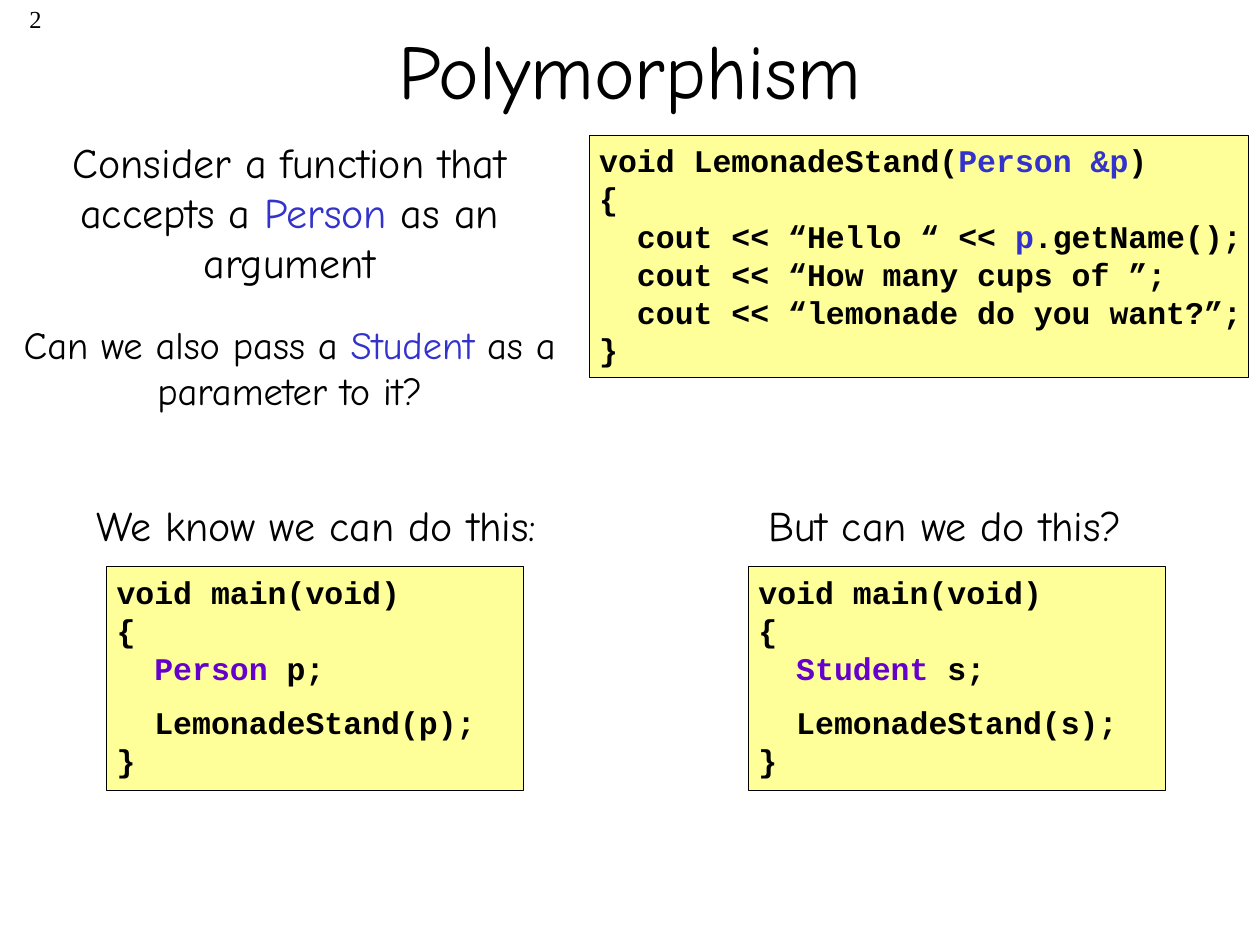
from dataclasses import dataclass

from pptx import Presentation, util as u
from pptx.dml.color import RGBColor
from pptx.enum import shapes, text


@dataclass(frozen=True)
class Theme:
    ink: str = "000000"
    blue: str = "3333CC"
    purple: str = "6600CC"
    panel: str = "FFFF99"
    prose: str = "Comic Neue"
    code: str = "Courier New"
    number: str = "Times New Roman"
    title_size: float = 44
    lead_size: float = 24
    question_size: float = 22
    code_size: float = 18
    number_size: float = 14
    code_pitch: float = 21.6
    code_indent: float = 21.6
    code_gap: float = 9.6
    outline: float = 0.25


THEME = Theme()
LEFT, CENTER, RIGHT = text.PP_ALIGN.LEFT, text.PP_ALIGN.CENTER, text.PP_ALIGN.RIGHT


def apply(target, values):
    for name, value in values.items():
        setattr(target, name, value)


def write(para, spans, font, size, bold=False):
    """Add (wording, colour) spans; a newline in the wording is a line break."""
    for wording, colour in spans:
        for index, line in enumerate(wording.split("\n")):
            if index:
                para.add_line_break()
            span = para.add_run()
            span.text = line
            apply(span.font, {"name": font, "size": u.Pt(size), "bold": bold})
            span.font.color.rgb = RGBColor.from_string(colour)


def place(shape, box):
    for name, length in zip(("left", "top", "width", "height"), box):
        setattr(shape, name, u.Cm(length))


def add_label(page, box, spans, size, align=LEFT, font=THEME.prose):
    label = page.shapes.add_textbox(*map(u.Cm, box))
    apply(label.text_frame, {"word_wrap": True,
                             "auto_size": text.MSO_AUTO_SIZE.SHAPE_TO_FIT_TEXT})
    para = label.text_frame.paragraphs[0]
    para.alignment = align
    write(para, spans, font, size)


def add_title(page, box, wording):
    title = page.shapes.title
    place(title, box)
    apply(title.text_frame, {"vertical_anchor": text.MSO_ANCHOR.MIDDLE,
                             "auto_size": text.MSO_AUTO_SIZE.NONE})
    para = title.text_frame.paragraphs[0]
    para.alignment = CENTER
    write(para, [(wording, THEME.ink)], THEME.prose, THEME.title_size)


def add_code(page, box, lines):
    """Draw a code panel from (indent level, space before, spans) lines."""
    panel = page.shapes.add_shape(shapes.MSO_SHAPE.RECTANGLE, *map(u.Cm, box))
    panel.shadow.inherit = False
    panel.fill.solid()
    panel.fill.fore_color.rgb = RGBColor.from_string(THEME.panel)
    panel.line.color.rgb = RGBColor.from_string(THEME.ink)
    panel.line.width = u.Pt(THEME.outline)
    frame = panel.text_frame
    apply(frame, {"word_wrap": False, "vertical_anchor": text.MSO_ANCHOR.TOP,
                  "margin_left": u.Cm(0.2), "margin_right": u.Cm(0),
                  "margin_top": u.Cm(0.13), "margin_bottom": u.Cm(0)})
    for index, (level, gap, spans) in enumerate(lines):
        para = frame.add_paragraph() if index else frame.paragraphs[0]
        apply(para, {"alignment": LEFT, "space_before": u.Pt(gap),
                     "line_spacing": u.Pt(THEME.code_pitch)})
        indent = u.Pt(level * THEME.code_indent)
        para._p.get_or_add_pPr().set("marL", str(int(indent)))
        write(para, spans, THEME.code, THEME.code_size, bold=True)


def add_introduction(page, box):
    left, top, width, height = box
    ink, blue = THEME.ink, THEME.blue
    add_label(page, (left, top, width, 3.3),
              [("Consider a function that accepts a ", ink), ("Person", blue),
               (" as an argument", ink)], THEME.lead_size, CENTER)
    add_label(page, (left, top + height - 2.1, width, 2.1),
              [("Can we also pass a ", ink), ("Student", blue),
               (" as a parameter to it?", ink)], THEME.question_size, CENTER)


def add_function(page, box):
    ink, blue = THEME.ink, THEME.blue
    add_code(page, box, [
        (0, 0, [("void LemonadeStand(", ink), ("Person &p", blue), (")", ink)]),
        (0, 0, [("{", ink)]),
        (1, 0, [("cout << “Hello “ << ", ink), ("p", blue),
                (".getName();\ncout << “How many cups of ”;\n"
                 "cout << “lemonade do you want?”;", ink)]),
        (0, 0, [("}", ink)]),
    ])


def add_example(page, box, caption, caption_shift, caption_width, kind, variable):
    """Place a caption over a main function that passes one variable."""
    left, top, width, height = box
    ink = THEME.ink
    add_label(page, (left + caption_shift, top, caption_width, 1.27),
              [(caption, ink)], THEME.lead_size)
    add_code(page, (left, top + 1.47, width, height - 1.47), [
        (0, 0, [("void main(void)", ink)]),
        (0, 0, [("{", ink)]),
        (1, 0, [(kind, THEME.purple), (f" {variable};", ink)]),
        (1, THEME.code_gap, [(f"LemonadeStand({variable});", ink)]),
        (0, 0, [("}", ink)]),
    ])


def main():
    deck = Presentation()
    apply(deck, {"slide_width": u.Cm(25.4), "slide_height": u.Cm(19.05)})
    page = deck.slides.add_slide(deck.slide_layouts.get_by_name("Title Only"))
    add_title(page, (1.9, -0.2, 21.6, 3.18), "Polymorphism")
    add_label(page, (0, -0.05, 1.09, 1.27), [("2", THEME.ink)],
              THEME.number_size, RIGHT, THEME.number)
    add_introduction(page, (0, 2.62, 11.68, 5.83))
    add_function(page, (11.88, 2.72, 13.28, 4.88))
    add_example(page, (2.15, 9.95, 8.4, 5.99),
                "We know we can do this:", -0.45, 10.13, "Person", "p")
    add_example(page, (15.09, 9.95, 8.4, 5.99),
                "But can we do this?", 0.15, 8.18, "Student", "s")
    deck.save("out.pptx")


if __name__ == "__main__":
    main()
